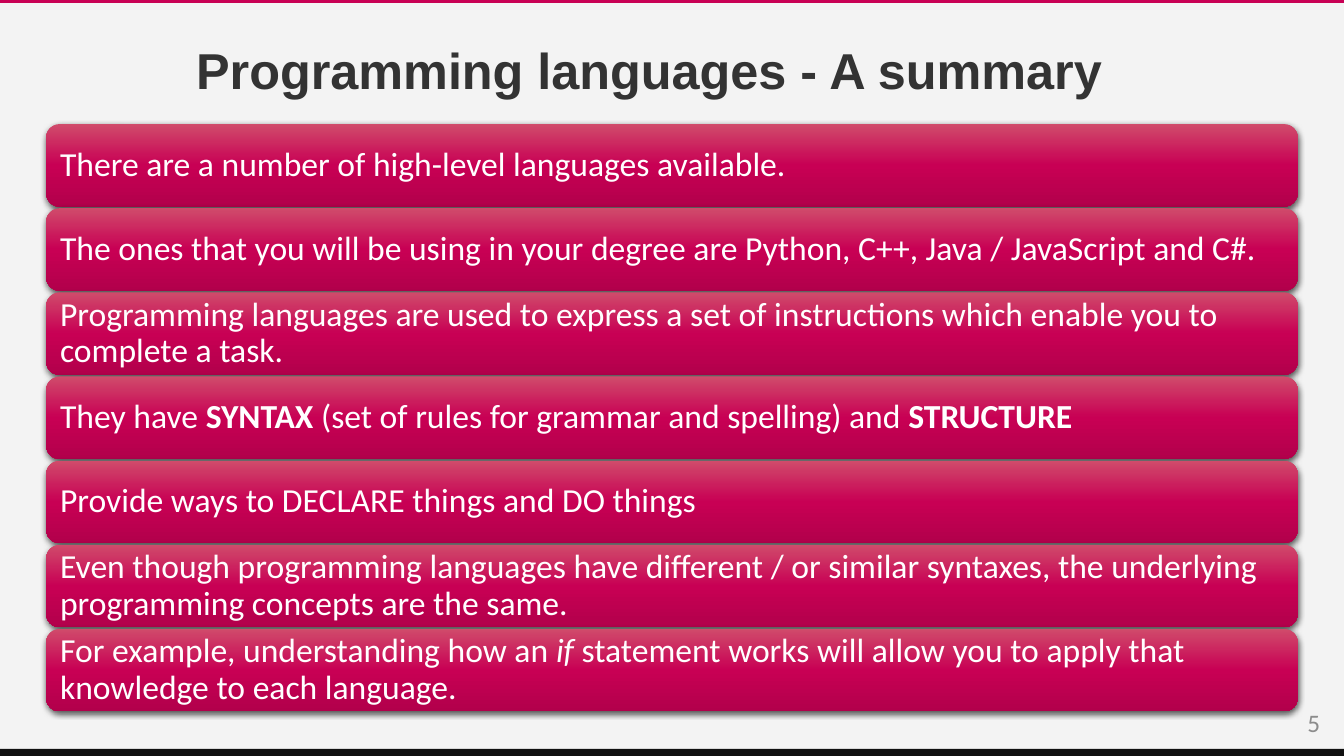
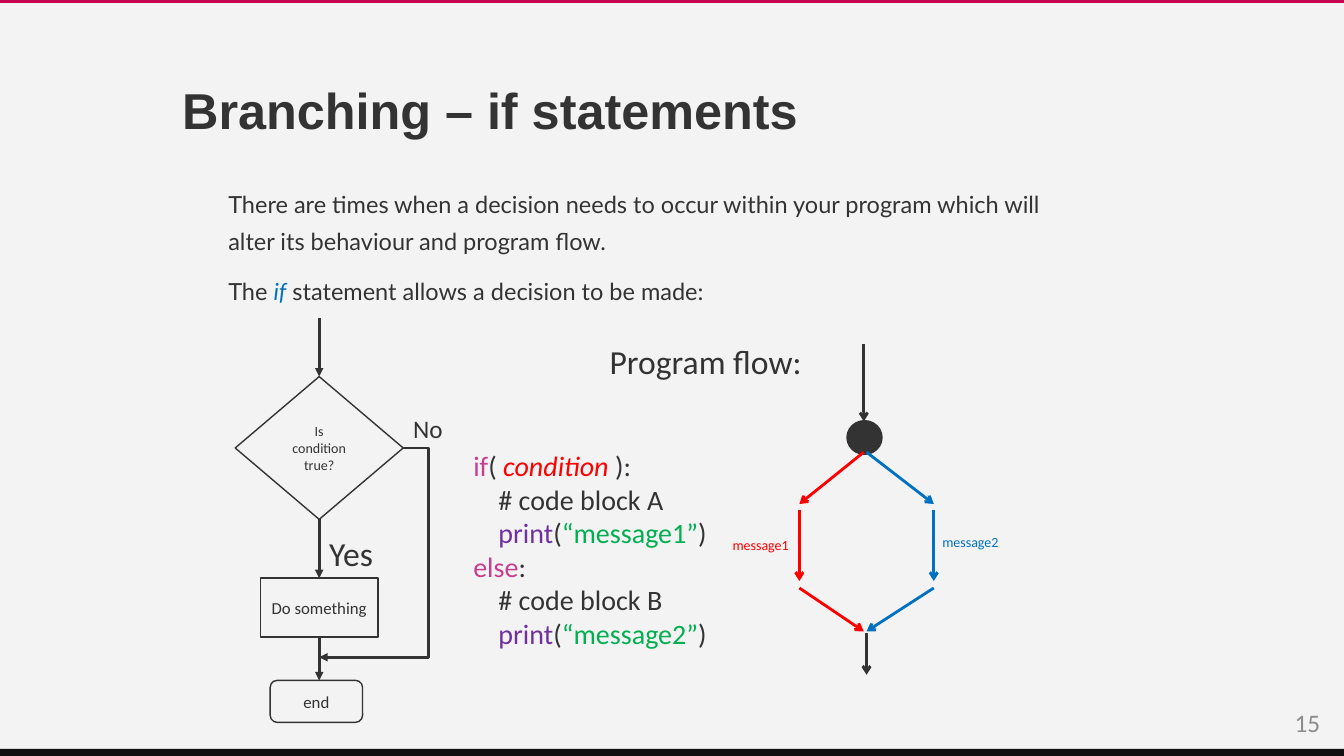
"""Build two programming slides: a language summary and if statements."""
from lxml import etree
from pptx import Presentation
from pptx import util as u
from pptx.dml.color import RGBColor
from pptx.enum import shapes, text
from pptx.oxml import parse_xml
from pptx.oxml.ns import nsdecls, qn

Pt = u.Pt
Kind = shapes.MSO_SHAPE
COLORS = {
    "page": "F3F3F3", "ink": "333333", "black": "101010", "white": "FFFFFF",
    "accent": "C80054", "accent_light": "D04B6B", "accent_dark": "B2004B",
    "gray": "8C8C8C", "red": "FF0000", "blue": "0070C0", "pink": "C53F8E",
    "purple": "7030A0", "green": "00B050", "shadow": "000000",
}
WIDTH, HEIGHT = 960, 540


def rgb(color):
    return RGBColor.from_string(COLORS[color])


class Slides:
    def __init__(self):
        self.deck = Presentation()
        self.deck.slide_width, self.deck.slide_height = Pt(WIDTH), Pt(HEIGHT)
        self.page = None

    def start(self, title, number, left, top):
        self.page = self.deck.slides.add_slide(self.deck.slide_layouts[6])
        self.page.background.fill.solid()
        self.page.background.fill.fore_color.rgb = rgb("page")
        self.shape(Kind.RECTANGLE, 0, 535, WIDTH, 5, fill="black")
        self.shape(Kind.RECTANGLE, 0, 0, WIDTH, 2, fill="accent")
        self.label([str(number)], 788, 502, 162, 29, size=18, color="gray",
                   align=text.PP_ALIGN.RIGHT)
        box = self.label([title], left, top, 711, 104, size=36, name="Arial",
                         bold=True, spacing=0.9)
        box.text_frame.vertical_anchor = text.MSO_ANCHOR.MIDDLE

    def fill_text(self, frame, paragraphs, size=18, color="ink", name="Calibri",
                  bold=None, align=text.PP_ALIGN.LEFT, spacing=None, before=None,
                  indents=()):
        frame.word_wrap = True
        for index, content in enumerate(paragraphs):
            para = frame.paragraphs[0] if index == 0 else frame.add_paragraph()
            para.alignment, para.line_spacing = align, spacing
            if before:
                para.space_before = Pt(before)
            para.font.size, para.font.name, para.font.bold = Pt(size), name, bold
            para.font.color.rgb = rgb(color)
            if index in indents:
                para._p.get_or_add_pPr().set("marL", str(Pt(18)))
            spans = [(content, {})] if isinstance(content, str) else content
            for words, style in spans:
                span = para.add_run()
                span.text = words
                span.font.bold = style.get("bold")
                span.font.italic = style.get("italic")
                span.font.color.rgb = rgb(style.get("color", color))

    def label(self, paragraphs, left, top, width, height, **style):
        box = self.page.shapes.add_textbox(Pt(left), Pt(top), Pt(width), Pt(height))
        self.fill_text(box.text_frame, paragraphs, **style)
        return box

    def shape(self, kind, left, top, width, height, fill=None, line=None, weight=1):
        box = self.page.shapes.add_shape(kind, Pt(left), Pt(top), Pt(width), Pt(height))
        box.shadow.inherit = False
        if fill:
            box.fill.solid()
            box.fill.fore_color.rgb = rgb(fill)
        else:
            box.fill.background()
        if line:
            box.line.color.rgb = rgb(line)
            box.line.width = Pt(weight)
        else:
            box.line.fill.background()
        return box

    def node(self, kind, words, left, top, width, height, size):
        box = self.shape(kind, left, top, width, height, line="ink")
        box.text_frame.vertical_anchor = text.MSO_ANCHOR.MIDDLE
        self.fill_text(box.text_frame, [words], size=size, align=text.PP_ALIGN.CENTER)

    def card(self, content, left, top, width, height):
        box = self.shape(Kind.ROUNDED_RECTANGLE, left, top, width, height, fill="accent")
        properties = box.element.spPr
        stops = "".join(
            f'<a:gs pos="{position}"><a:srgbClr val="{COLORS[color]}"/></a:gs>'
            for position, color in ((0, "accent_light"), (50000, "accent"), (100000, "accent_dark")))
        gradient = parse_xml(
            f'<a:gradFill {nsdecls("a")} rotWithShape="1"><a:gsLst>{stops}</a:gsLst>'
            '<a:lin ang="5400000" scaled="0"/></a:gradFill>')
        properties.replace(properties.find(qn("a:solidFill")), gradient)
        shadow = parse_xml(
            f'<a:outerShdw {nsdecls("a")} blurRad="{Pt(4.5)}" dist="{Pt(1.5)}" '
            f'dir="5400000" rotWithShape="0"><a:srgbClr val="{COLORS["shadow"]}">'
            '<a:alpha val="63000"/></a:srgbClr></a:outerShdw>')
        properties.find(qn("a:effectLst")).append(shadow)
        box.text_frame.vertical_anchor = text.MSO_ANCHOR.MIDDLE
        self.fill_text(box.text_frame, [content], size=24, color="white", spacing=0.9)

    def arrow(self, start, end, color="ink", head="arrow", bend=None):
        kind = shapes.MSO_CONNECTOR.STRAIGHT if bend is None else shapes.MSO_CONNECTOR.ELBOW
        line = self.page.shapes.add_connector(kind, *map(Pt, start + end))
        line.line.color.rgb = rgb(color)
        line.line.width = Pt(2)
        properties = line.element.spPr
        etree.SubElement(properties.find(qn("a:ln")), qn("a:tailEnd"), type=head)
        etree.SubElement(properties, qn("a:effectLst"))
        if bend is not None:
            guides = properties.find(qn("a:prstGeom")).get_or_add_avLst()
            etree.SubElement(guides, qn("a:gd"), name="adj1", fmla=f"val {round(bend * 100000)}")


def add_summary(slides):
    slides.start("Programming languages - A summary", 5, 133, 0)
    points = [
        "There are a number of high-level languages available.",
        "The ones that you will be using in your degree are Python, C++, Java / JavaScript and C#.",
        "Programming languages are used to express a set of instructions which enable you to "
        "complete a task.",
        [("They have ", {}), ("SYNTAX", {"bold": True}),
         (" (set of rules for grammar and spelling) and ", {}), ("STRUCTURE", {"bold": True})],
        "Provide ways to DECLARE things and DO things",
        "Even though programming languages have different / or similar syntaxes, the underlying "
        "programming concepts are the same.",
        [("For example, understanding how an ", {}), ("if", {"italic": True}),
         (" statement works will allow you to apply that knowledge to each language.", {})],
    ]
    for index, content in enumerate(points):
        slides.card(content, 33, 88.6 + 60.1 * index, 894, 59)


def add_flowchart(slides):
    center = 228
    slides.node(Kind.FLOWCHART_DECISION, "Is condition true?", 168, 269, 120, 102, 10)
    slides.node(Kind.RECTANGLE, "Do something", 186, 413, 84, 42, 12)
    slides.node(Kind.FLOWCHART_ALTERNATE_PROCESS, "end", 193, 486, 66, 30, 12)
    for top, bottom in ((227, 269), (371, 413), (455, 486)):
        slides.arrow((center, top), (center, bottom), head="triangle")
    slides.arrow((288, 320), (center, 469.5), head="triangle", bend=-0.3)
    slides.label(["No"], 288, 291.6, 42, 29)
    slides.label(["Yes"], center, 377.3, 49, 37, size=24)


def add_program_flow(slides):
    slides.label(["Program flow:"], 428.4, 239.8, 160, 37, size=24)
    slides.arrow((617, 246), (617, 301))
    slides.shape(Kind.OVAL, 605.5, 301, 24, 23, fill="ink", line="ink", weight=2)
    branches = (("red", 571, 617, "message1", 516.2, 379.4),
                ("blue", 667, 619, "message2", 666, 377.3))
    for color, side, middle, message, left, top in branches:
        slides.arrow((middle, 323), (side, 360), color)
        slides.arrow((side, 364), (side, 415), color)
        slides.arrow((side, 420), (middle, 451), color)
        slides.label([message], left, top, 66, 19, size=10, color=color)
    slides.arrow((619, 452), (619, 482))


def add_branching(slides):
    slides.start("Branching – if statements", 15, 123, 28.8)
    slides.label(
        ["There are times when a decision needs to occur within your program which will "
         "alter its behaviour and program flow.",
         [("The ", {}), ("if", {"color": "blue", "italic": True}),
          (" statement allows a decision to be made:", {})]],
        156, 126, 600, 102, size=16.8, name="Lato", spacing=1.3, before=10)

    def print_call(message):
        return [("print", {"color": "purple"}), ("(", {}),
                (f"“{message}”", {"color": "green"}), (")", {})]

    slides.label(
        [[("if", {"color": "pink"}), ("( ", {}),
          ("condition ", {"color": "red", "italic": True}), ("):", {})],
         "# code block A", print_call("message1"),
         [("else", {"color": "pink"}), (":", {})],
         "# code block B", print_call("message2")],
        331, 316.8, 197, 153, size=20, indents=(1, 2, 4, 5))
    add_flowchart(slides)
    add_program_flow(slides)


def main():
    slides = Slides()
    add_summary(slides)
    add_branching(slides)
    slides.deck.save("out.pptx")


if __name__ == "__main__":
    main()
